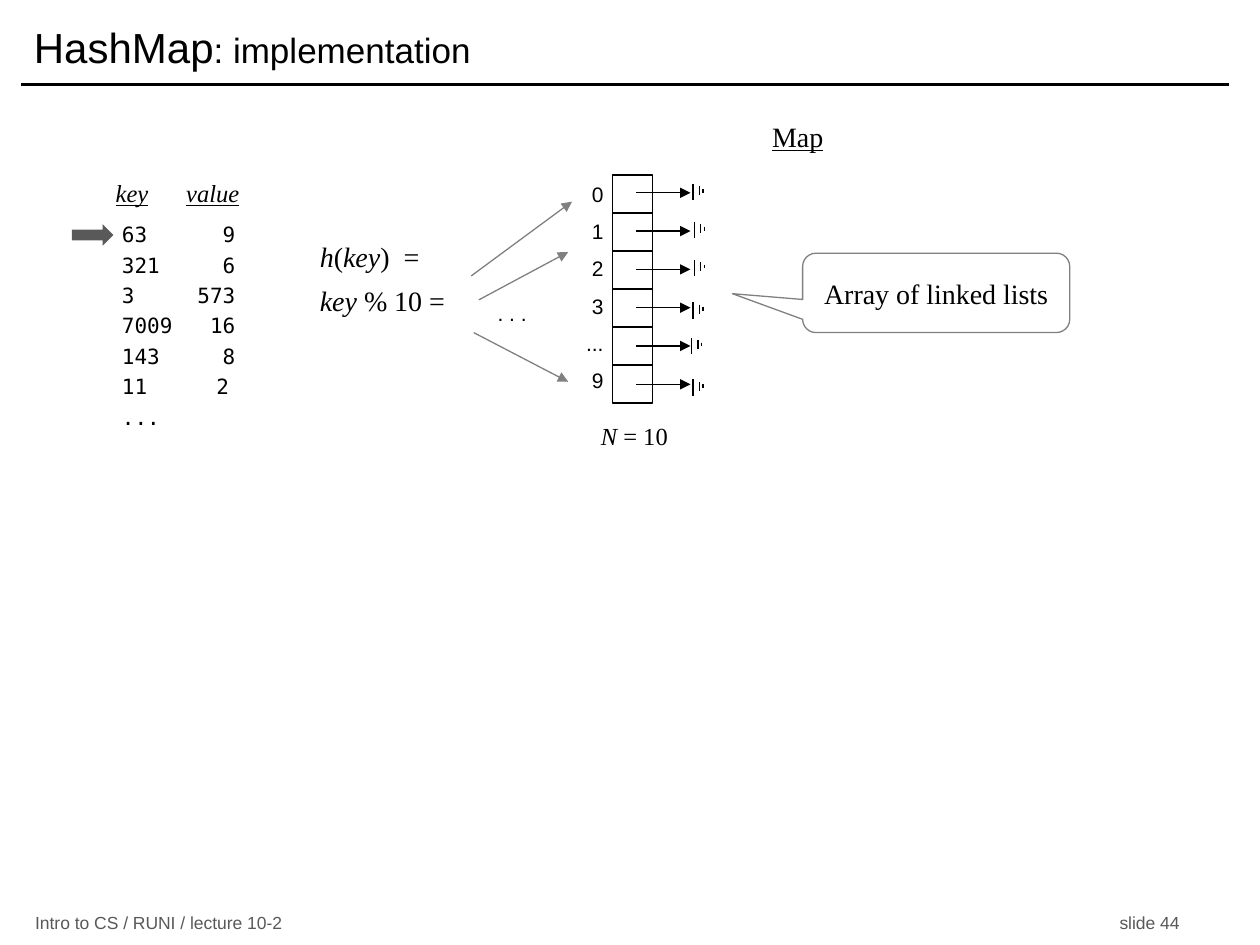
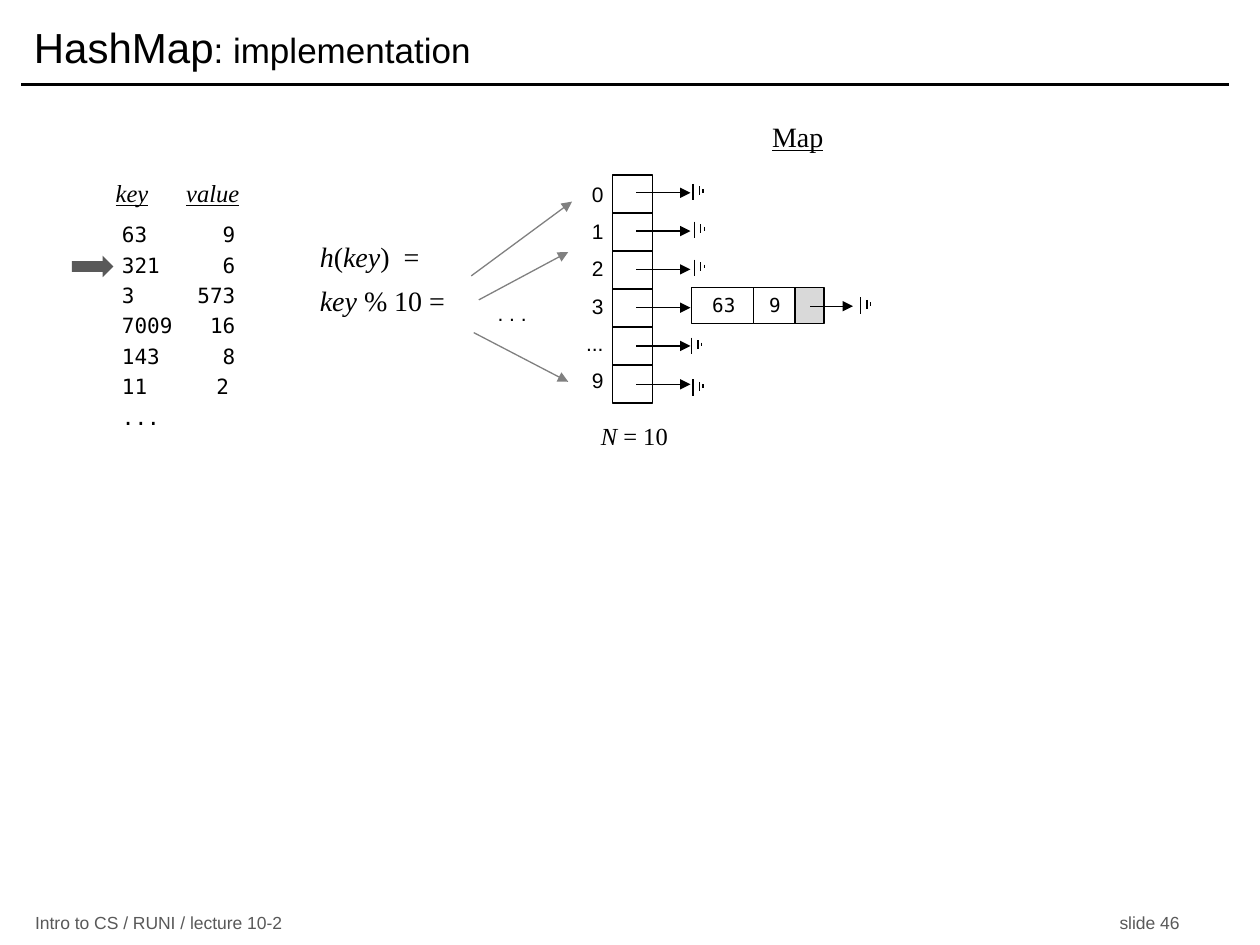
from lxml import etree
from pptx import Presentation
from pptx.dml.color import RGBColor
from pptx.enum import shapes, text
from pptx.oxml.ns import qn
from pptx.util import Inches, Pt

COLORS = {
    "black": "000000",
    "white": "FFFFFF",
    "footer": "595959",
    "marker": "595959",
    "gray": "808080",
    "next_cell": "D9D9D9",
}
SANS, SERIF, MONO = "Arial", "Times New Roman", "DejaVu Sans Mono"
LEFT, CENTER, RIGHT = text.PP_ALIGN.LEFT, text.PP_ALIGN.CENTER, text.PP_ALIGN.RIGHT
TOP, MIDDLE = text.MSO_ANCHOR.TOP, text.MSO_ANCHOR.MIDDLE

# key, value, right edge of the value
PAIRS = [
    ("63", "9", 0.9),
    ("321", "6", 0.9),
    ("3", "573", 0.9),
    ("7009", "16", 0.9),
    ("143", "8", 0.9),
    ("11", "2", 0.85),
    ("...", "", 0.9),
]
# index label, left and top of the null symbol within the array box
BUCKETS = [
    ("0", 1.13, 0.07),
    ("1", 1.14, 0.37),
    ("2", 1.14, 0.67),
    ("3", 1.13, 1.01),
    ("...", 1.12, 1.29),
    ("9", 1.13, 1.62),
]
NULL_BARS = [(0, 0, 0.13), (0.05, 0.02, 0.07), (0.08, 0.04, 0.03)]


def rgb(name):
    return RGBColor.from_string(COLORS[name])


def set_tabs(paragraph, tabs):
    """Add tab stops given as (inches, alignment code)."""
    tab_list = etree.SubElement(paragraph._p.get_or_add_pPr(), qn("a:tabLst"))
    for position, alignment in tabs:
        etree.SubElement(tab_list, qn("a:tab"), pos=str(Inches(position)), algn=alignment)


def write(shape, paragraphs, size, font, color="black", align=LEFT, anchor=TOP,
          insets=(0.1, 0.05, 0.1, 0.05), space_before=0, line_spacing=None, tabs=None):
    """Fill a shape with paragraphs, each a list of (text, style) runs.

    A style holds "i" for italic and "u" for underline, or is a size in points.
    tabs holds one list of tab stops for each paragraph.
    """
    frame = shape.text_frame
    frame.word_wrap = True
    frame.vertical_anchor = anchor
    frame.margin_left, frame.margin_top, frame.margin_right, frame.margin_bottom = map(Inches, insets)
    for index, runs in enumerate(paragraphs):
        paragraph = frame.add_paragraph() if index else frame.paragraphs[0]
        if tabs:
            set_tabs(paragraph, tabs[index])
        paragraph.alignment = align
        if index and space_before:
            paragraph.space_before = Pt(space_before)
        if line_spacing:
            paragraph.line_spacing = line_spacing
        for words, style in runs:
            run = paragraph.add_run()
            run.text = words
            run.font.name = font
            run.font.size = Pt(style if isinstance(style, int) else size)
            run.font.color.rgb = rgb(color)
            if isinstance(style, str):
                run.font.italic = "i" in style
                run.font.underline = "u" in style


def add_text(slide, box, paragraphs, **formatting):
    write(slide.shapes.add_textbox(*map(Inches, box)), paragraphs, **formatting)


def add_box(slide, kind, box, fill=None, line=None):
    shape = slide.shapes.add_shape(kind, *map(Inches, box))
    shape.shadow.inherit = False
    if fill:
        shape.fill.solid()
        shape.fill.fore_color.rgb = rgb(fill)
    else:
        shape.fill.background()
    if line:
        shape.line.color.rgb = rgb(line)
        shape.line.width = Pt(0.75)
    else:
        shape.line.fill.background()
    return shape


def add_line(slide, start, end, color="black", width=0.75, arrow=False):
    connector = slide.shapes.add_connector(
        shapes.MSO_CONNECTOR.STRAIGHT, *map(Inches, (*start, *end)))
    connector.line.color.rgb = rgb(color)
    connector.line.width = Pt(width)
    if arrow:
        etree.SubElement(connector.line._get_or_add_ln(), qn("a:tailEnd"), type="triangle")
    etree.SubElement(connector._element.spPr, qn("a:effectLst"))


def add_frame(slide, number):
    """Title, rule and footer."""
    add_text(slide, (0.17, 0.08, 9.58, 0.58),
             [[("HashMap", 24), (": implementation", 20)]],
             size=24, font=SANS, anchor=MIDDLE)
    add_line(slide, (0.17, 0.67), (9.75, 0.67), width=2)
    footer = [(0.18, "Intro to CS / RUNI / lecture 10-2", LEFT),
              (4.75, f"slide {number}", RIGHT)]
    for left, words, align in footer:
        add_text(slide, (left, 7.23, 4.71, 0.19), [[(words, "")]], size=10, font=SANS,
                 color="footer", align=align, anchor=MIDDLE, insets=(0.1, 0, 0.1, 0))


def add_pairs(slide, left, top, current):
    """Key and value columns, with a marker at the current pair."""
    add_text(slide, (left, top, 3.17, 0.33),
             [[("key", "iu"), ("\t", "i"), ("value", "iu")]],
             size=14, font=SERIF, line_spacing=0.8, tabs=[[(0.56, "l")]])
    rows = [[(f"{key}\t{value}" if value else key, "")] for key, value, _ in PAIRS]
    add_text(slide, (left + 0.05, top + 0.3, 2.63, 2.44), rows, size=12, font=MONO,
             space_before=3, tabs=[[(edge, "r")] for _, _, edge in PAIRS])
    add_box(slide, shapes.MSO_SHAPE.RIGHT_ARROW,
            (left - 0.25, top + 0.37 + 0.25 * current, 0.33, 0.17), fill="marker")


def add_hash_function(slide, left, top):
    add_text(slide, (left, top, 1.25, 0.72),
             [[("h", "i"), ("(", ""), ("key", "i"), (")  =", "")],
              [("key", "i"), (" % 10 =", "")]],
             size=16, font=SERIF, space_before=6)
    add_text(slide, (left + 1.32, top + 0.49, 0.5, 0.3), [[(". . .", "")]],
             size=12, font=SANS, align=RIGHT, insets=(0, 0.05, 0.08, 0.05))
    arrows = [((1.3, 0.34), (2.1, -0.25)),
              ((1.36, 0.53), (2.07, 0.15)),
              ((1.32, 0.79), (2.07, 1.18))]
    for start, end in arrows:
        add_line(slide, (left + start[0], top + start[1]), (left + end[0], top + end[1]),
                 color="gray", arrow=True)


def add_null(slide, left, top):
    """Three shrinking bars that end a list."""
    for x, y, height in NULL_BARS:
        add_line(slide, (left + x, top + y), (left + x, top + y + height))


def add_array(slide, left, top, filled=()):
    """Bucket array; buckets listed in filled get no null symbol."""
    for index, (label, null_x, null_y) in enumerate(BUCKETS):
        add_box(slide, shapes.MSO_SHAPE.RECTANGLE,
                (left + 0.49, top + 0.302 * index, 0.32, 0.3), line="black")
        add_text(slide, (left, top + 0.296 * index, 0.5, 0.3), [[(label, "")]],
                 size=12, font=SANS, align=RIGHT, insets=(0, 0.05, 0.08, 0.05))
        arrow_y = top + 0.14 + 0.304 * index
        add_line(slide, (left + 0.68, arrow_y), (left + 1.11, arrow_y), arrow=True)
        if label not in filled:
            add_null(slide, left + null_x, top + null_y)
    add_text(slide, (left + 1.66, top - 0.44, 0.86, 0.33), [[("Map", "u")]],
             size=16, font=SERIF, line_spacing=0.8)
    add_text(slide, (left + 0.3, top + 1.9, 1.64, 0.34), [[("N", "i"), (" = 10", "")]],
             size=14, font=SERIF)


def add_node(slide, left, top, key, value):
    """List node with key, value and a pointer to null."""
    cells = [(0, 0.51, key, "white"), (0.49, 0.34, value, "white"), (0.82, 0.23, "", "next_cell")]
    for x, width, words, fill in cells:
        cell = add_box(slide, shapes.MSO_SHAPE.RECTANGLE, (left + x, top, width, 0.29),
                       fill=fill, line="black")
        if words:
            write(cell, [[(words, "")]], size=11, font=MONO, align=CENTER,
                  insets=(0, 0.05, 0, 0.05))
    add_line(slide, (left + 0.94, top + 0.15), (left + 1.28, top + 0.15), arrow=True)
    add_null(slide, left + 1.34, top + 0.08)


def add_callout(slide, left, top):
    callout = add_box(slide, shapes.MSO_SHAPE.ROUNDED_RECTANGULAR_CALLOUT,
                      (left, top, 2.12, 0.63), fill="white", line="gray")
    for index, value in enumerate((-0.763, 0.01, 0.167)):
        callout.adjustments[index] = value
    write(callout, [[("Array of linked lists", "")]], size=16, font=SERIF,
          align=CENTER, anchor=MIDDLE)


def add_hash_map_slide(presentation, number, current, filled=()):
    slide = presentation.slides.add_slide(presentation.slide_layouts[6])
    add_frame(slide, number)
    add_pairs(slide, 0.82, 1.41, current)
    add_hash_function(slide, 2.44, 1.85)
    add_array(slide, 4.37, 1.39, filled)
    return slide


def main():
    presentation = Presentation()
    presentation.slide_width = Inches(10)
    presentation.slide_height = Inches(7.5)
    empty_map = add_hash_map_slide(presentation, 44, current=0)
    add_callout(empty_map, 6.37, 2.01)
    first_insert = add_hash_map_slide(presentation, 46, current=1, filled=("3",))
    add_node(first_insert, 5.49, 2.28, "63", "9")
    presentation.save("out.pptx")


if __name__ == "__main__":
    main()
